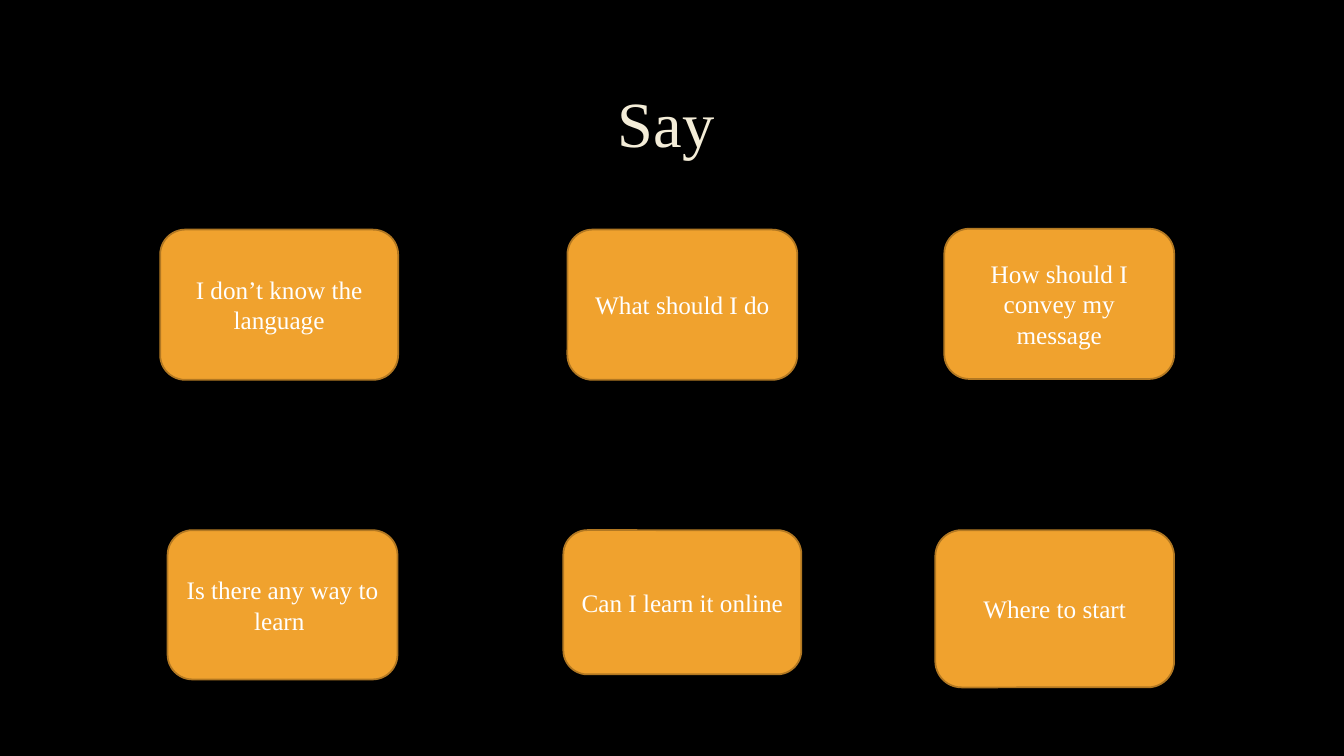
from typing import NamedTuple

from pptx import Presentation
from pptx.dml.color import RGBColor
from pptx.enum import shapes, text
from pptx.util import Pt

FONT = "Times New Roman"
TOP_ROW, BOTTOM_ROW = 164, 378.7


class Saying(NamedTuple):
    wording: str
    left: float
    top: float
    width: float
    height: float


SAYINGS = [
    Saying("I don’t know the language", 114.4, TOP_ROW, 170, 107.3),
    Saying("What should I do", 405.3, TOP_ROW, 164.2, 107.3),
    Saying("How should I convey my message", 674.5, 163.4, 164.2, 107.3),
    Saying("Is there any way to learn ", 119.7, BOTTOM_ROW, 164.2, 106.6),
    Saying("Can I learn it online ", 402.4, BOTTOM_ROW, 170, 103),
    Saying("Where to start", 668.1, BOTTOM_ROW, 170.6, 112.3),
]


def paint(target, colour: str) -> None:
    """Give a fill one solid colour."""
    target.solid()
    target.fore_color.rgb = RGBColor.from_string(colour)


def write_centred(frame, wording: str, size: float, colour: str):
    frame.text = wording
    frame.word_wrap = True
    frame.vertical_anchor = text.MSO_ANCHOR.MIDDLE
    paragraph = frame.paragraphs[0]
    paragraph.alignment = text.PP_ALIGN.CENTER
    paragraph.font.name = FONT
    paragraph.font.size = Pt(size)
    paint(paragraph.font.fill, colour)
    return paragraph


def draw_saying(slide, saying: Saying) -> None:
    card = slide.shapes.add_shape(
        shapes.MSO_SHAPE.ROUNDED_RECTANGLE,
        Pt(saying.left), Pt(saying.top), Pt(saying.width), Pt(saying.height))
    card.shadow.inherit = False
    paint(card.fill, "F0A22E")
    paint(card.line.fill, "B27822")
    card.line.width = Pt(1.25)
    write_centred(card.text_frame, saying.wording, 18, "FFFFFF")


def main() -> None:
    deck = Presentation()
    deck.slide_width, deck.slide_height = Pt(960), Pt(540)
    slide = deck.slides.add_slide(deck.slide_layouts[5])
    paint(slide.background.fill, "000000")

    heading = slide.shapes.title
    heading.left, heading.top = Pt(68.4), Pt(58.3)
    heading.width, heading.height = Pt(815), Pt(64)
    heading.text_frame.auto_size = text.MSO_AUTO_SIZE.NONE
    write_centred(heading.text_frame, "Say", 46, "F4EDD8").line_spacing = 0.9

    for saying in SAYINGS:
        draw_saying(slide, saying)
    deck.save("out.pptx")


if __name__ == "__main__":
    main()
